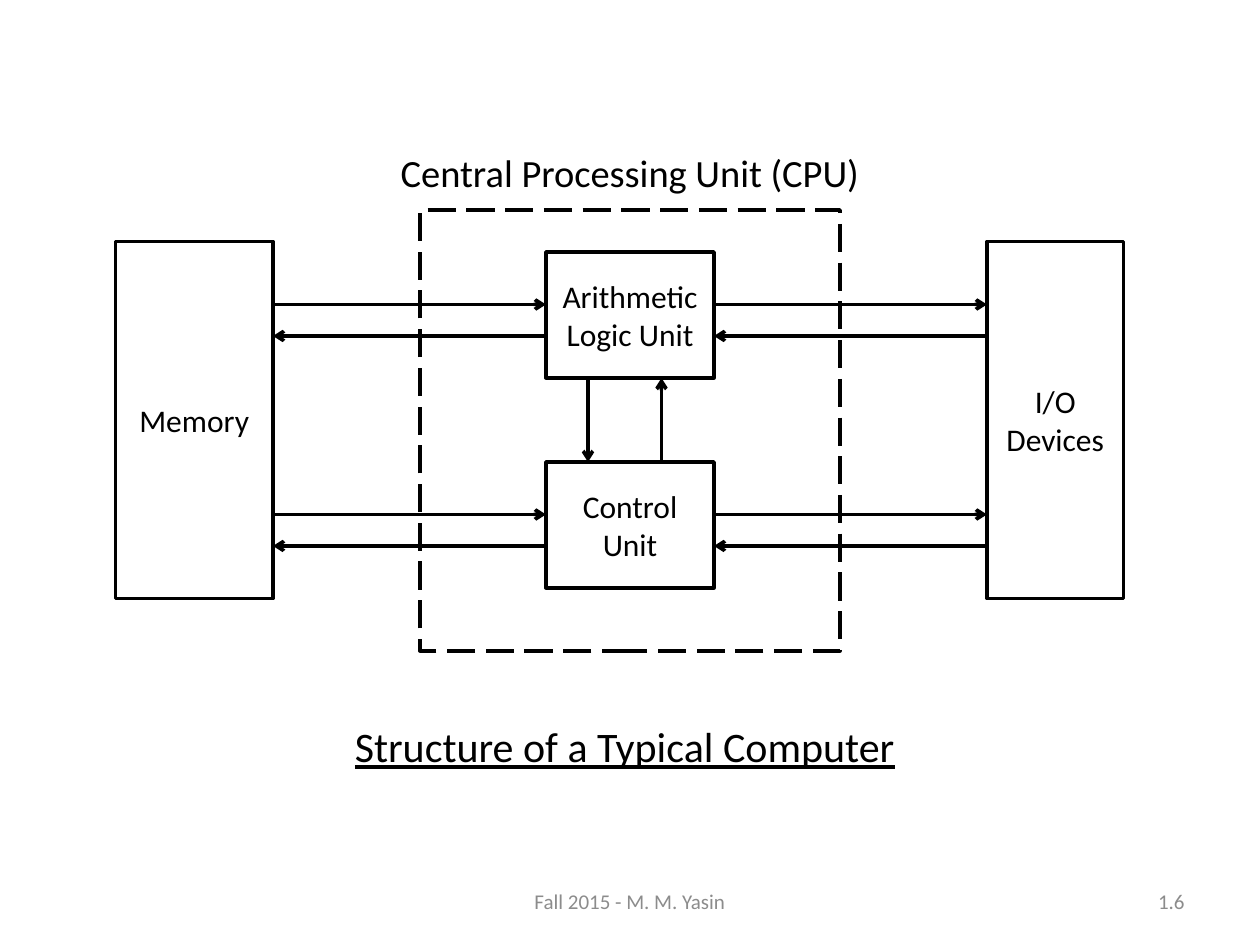
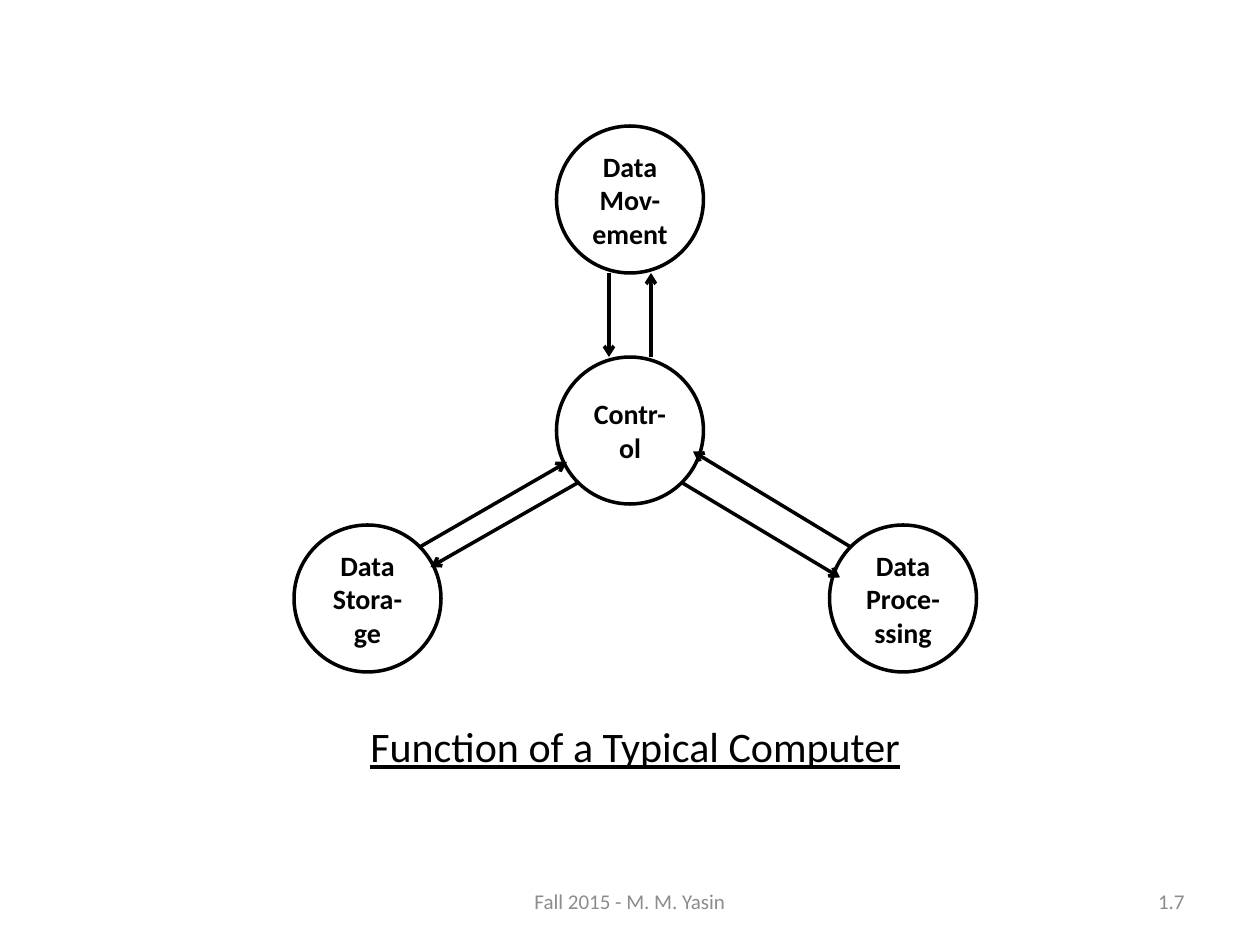
from lxml import etree
from pptx import Presentation
from pptx.dml.color import RGBColor
from pptx.enum import dml, shapes, text
from pptx.oxml.ns import qn
from pptx.util import Pt

FONT = "Calibri"
BLACK, WHITE, GREY = "000000", "FFFFFF", "8C8C8C"
CENTER, RIGHT = text.PP_ALIGN.CENTER, text.PP_ALIGN.RIGHT
TOP, MIDDLE = text.MSO_ANCHOR.TOP, text.MSO_ANCHOR.MIDDLE
RECTANGLE, OVAL = shapes.MSO_SHAPE.RECTANGLE, shapes.MSO_SHAPE.OVAL


def color(value):
    return RGBColor.from_string(value)


class Deck:
    """Holds the style and the slide being drawn; all lengths are in points."""

    def __init__(self):
        self.deck = Presentation()
        self.deck.slide_width, self.deck.slide_height = Pt(720), Pt(540)
        self.page = None

    def new_page(self, number, caption, caption_left):
        self.page = self.deck.slides.add_slide(self.deck.slide_layouts[6])
        self.label("Fall 2015 - M. M. Yasin", 246, 500.4, 228, 28.8, 12, ink=GREY)
        self.label(number, 516, 500.4, 168, 28.8, 12, ink=GREY, align=RIGHT)
        self.label(caption, caption_left, 402, 354, 48, 24, underline=True)

    def add_words(self, box, words, size, ink=BLACK, align=CENTER, anchor=MIDDLE,
                  bold=False, underline=False):
        frame = box.text_frame
        frame.word_wrap = True
        frame.vertical_anchor = anchor
        para = frame.paragraphs[0]
        para.alignment = align
        span = para.add_run()
        span.text = words
        span.font.name, span.font.size = FONT, Pt(size)
        span.font.bold, span.font.underline = bold, underline
        span.font.color.rgb = color(ink)

    def label(self, words, left, top, width, height, size, **style):
        box = self.page.shapes.add_textbox(Pt(left), Pt(top), Pt(width), Pt(height))
        self.add_words(box, words, size, **style)

    def outline(self, item):
        item.line.color.rgb = color(BLACK)
        item.line.width = Pt(2)

    def node(self, kind, left, top, width, height, words, size, bold=False):
        box = self.page.shapes.add_shape(kind, Pt(left), Pt(top), Pt(width), Pt(height))
        box.shadow.inherit = False
        box.fill.solid()
        box.fill.fore_color.rgb = color(WHITE)
        self.outline(box)
        self.add_words(box, words, size, bold=bold)

    def dashed_frame(self, left, top, width, height):
        box = self.page.shapes.add_shape(RECTANGLE, Pt(left), Pt(top), Pt(width), Pt(height))
        box.shadow.inherit = False
        box.fill.background()
        self.outline(box)
        box.line.dash_style = dml.MSO_LINE.LONG_DASH

    def arrow(self, x1, y1, x2, y2):
        line = self.page.shapes.add_connector(
            shapes.MSO_CONNECTOR.STRAIGHT, Pt(x1), Pt(y1), Pt(x2), Pt(y2))
        self.outline(line)
        stroke = line.get_or_add_ln()
        etree.SubElement(stroke, qn("a:tailEnd"), type="arrow")
        etree.SubElement(stroke.getparent(), qn("a:effectLst"))


def structure_page(deck):
    deck.new_page("1.6", "Structure of a Typical Computer", 180)
    deck.label("Central Processing Unit (CPU)", 174, 81.4, 372, 32.4, 22, anchor=TOP)

    # Units
    unit_left, unit_width, unit_height = 312, 96, 72
    unit_right = unit_left + unit_width
    alu_top, control_top = 144, 264
    memory_right, devices_left = 156, 564
    deck.node(RECTANGLE, 66, 138, memory_right - 66, 204, "Memory", 18)
    deck.node(RECTANGLE, devices_left, 138, 78, 204, "I/O Devices", 18)
    deck.dashed_frame(240, 120, 240, 252)
    for top, words in ((alu_top, "Arithmetic Logic Unit"), (control_top, "Control Unit")):
        deck.node(RECTANGLE, unit_left, top, unit_width, unit_height, words, 18)

    # Arrows between the two units
    alu_bottom = alu_top + unit_height
    deck.arrow(336, alu_bottom, 336, control_top)
    deck.arrow(378, control_top, 378, alu_bottom)

    # Arrow pairs on both sides of each unit
    for start, end in ((memory_right, unit_left), (unit_right, devices_left)):
        for top in (alu_top, control_top):
            deck.arrow(start, top + 30, end, top + 30)
            deck.arrow(end, top + 48, start, top + 48)


def function_page(deck):
    deck.new_page("1.7", "Function of a Typical Computer", 186)

    # Circles
    for left, top, words in ((318, 72, "Data Mov-ement"), (318, 204, "Contr-ol"),
                             (168, 300, "Data Stora-ge"), (474, 300, "Data Proce-ssing")):
        deck.node(OVAL, left, top, 84, 84, words, 16, bold=True)

    # Arrow pairs between the control circle and the others
    for ends in ((348, 156, 348, 204), (372, 204, 372, 156),
                 (240, 312.5, 324, 264), (330, 276, 246, 324),
                 (390, 276, 480, 330), (486, 312.5, 396, 258)):
        deck.arrow(*ends)


def main():
    deck = Deck()
    structure_page(deck)
    function_page(deck)
    deck.deck.save("out.pptx")


if __name__ == "__main__":
    main()
